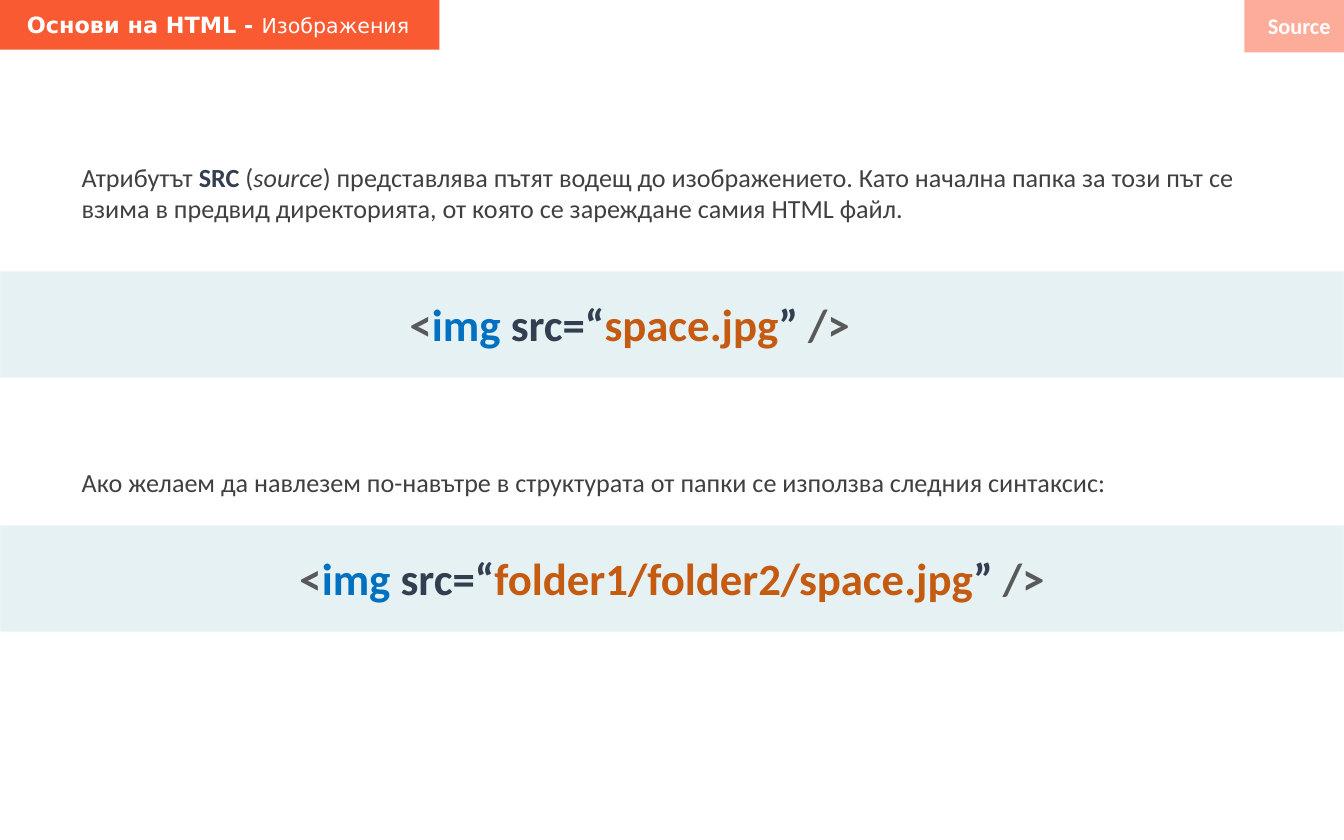
from typing import NamedTuple

from lxml import etree
from pptx import Presentation
from pptx.dml.color import RGBColor
from pptx.enum.shapes import MSO_SHAPE
from pptx.enum.text import MSO_ANCHOR, PP_ALIGN
from pptx.oxml.ns import qn
from pptx.util import Inches, Pt

RECT = MSO_SHAPE.RECTANGLE
TOP = MSO_ANCHOR.TOP
LEFT, MID, RIGHT = PP_ALIGN.LEFT, PP_ALIGN.CENTER, PP_ALIGN.RIGHT

COLORS = {
    "accent": "FA5A32", "band": "127994", "edge": "F8F8F8", "white": "FFFFFF",
    "body": "404040", "mark": "595959", "tag": "0070C0", "attr": "333F50",
    "value": "C55A11",
}
WIDTH, HEIGHT = Inches(10), Inches(6.25)
COL, ROW = WIDTH / 100, HEIGHT / 62.5  # grid of 100 columns by 62.5 rows


class Box(NamedTuple):
    """A place on the grid, in columns and rows."""
    left: float
    top: float
    width: float
    height: float

    def emu(self) -> tuple[int, ...]:
        units = (COL, ROW, COL, ROW)
        return tuple(round(n * unit) for n, unit in zip(self, units))


class Run(NamedTuple):
    text: str
    color: str = "body"
    bold: bool = False
    italic: bool = False
    size: float | None = None


class Sample(NamedTuple):
    """A line of code on a full-width band."""
    top: float
    left: float
    width: float
    file: str


class Note(NamedTuple):
    box: Box
    runs: list[Run]


SAMPLES = [
    Sample(20.2, 26.4, 40.9, "space.jpg"),
    Sample(39.1, 19.3, 61.4, "folder1/folder2/space.jpg"),
]
NOTES = [
    Note(Box(5.1, 11.5, 90.6, 5.7), [
        Run("Атрибутът "),
        Run("SRC", "attr", bold=True),
        Run(" ("),
        Run("source", italic=True),
        Run(") представлява пътят водещ до изображението. Като начална папка "
            "за този път се взима в предвид директорията, от която се "
            "зареждане самия HTML файл."),
    ]),
    Note(Box(5.1, 34.2, 90.6, 3.4), [
        Run("Ако желаем да навлезем по-навътре в структурата от папки се "
            "използва следния синтаксис:"),
    ]),
]


def paint(fill, color: str, alpha: int = 100) -> None:
    fill.solid()
    fill.fore_color.rgb = RGBColor.from_string(COLORS[color])
    if alpha < 100:
        tone = fill._xPr.find(f"{qn('a:solidFill')}/{qn('a:srgbClr')}")
        etree.SubElement(tone, qn("a:alpha"), val=str(alpha * 1000))


def block(slide, box: Box, color: str, alpha: int = 100, edge: str = ""):
    shape = slide.shapes.add_shape(RECT, *box.emu())
    shape.shadow.inherit = False
    paint(shape.fill, color, alpha)
    if edge:
        shape.line.width = Pt(1)
        paint(shape.line.fill, edge, 16)
    else:
        shape.line.fill.background()
    return shape


def write(shape, runs: list[Run], size: float, font: str = "Calibri",
          align=LEFT, wrap: bool = True) -> None:
    frame = shape.text_frame
    frame.word_wrap = wrap
    frame.vertical_anchor = TOP
    para = frame.paragraphs[0]
    para.alignment = align
    for part in runs:
        run = para.add_run()
        run.text = part.text
        run.font.name = font
        run.font.size = Pt(part.size or size)
        run.font.bold = part.bold
        run.font.italic = part.italic
        run.font.color.rgb = RGBColor.from_string(COLORS[part.color])


def label(slide, box: Box, runs: list[Run], size: float, **format) -> None:
    write(slide.shapes.add_textbox(*box.emu()), runs, size, **format)


def sample(slide, item: Sample) -> None:
    block(slide, Box(0, item.top, 100, 7.9), "band", 10, edge="edge")
    parts = [("<", "mark"), ("img ", "tag"), ("src=“", "attr"),
             (item.file, "value"), ("” ", "attr"), ("/>", "mark")]
    runs = [Run(text, color, bold=True) for text, color in parts]
    label(slide, Box(item.left, item.top + 1.4, item.width, 5), runs, 24,
          align=MID)


def main() -> None:
    deck = Presentation()
    deck.slide_width, deck.slide_height = WIDTH, HEIGHT
    slide = deck.slides.add_slide(deck.slide_layouts[5])

    # Code bands and the notes above them
    for item in SAMPLES:
        sample(slide, item)
    for note in NOTES:
        label(slide, note.box, note.runs, 14)

    # Title on its tab
    tab = block(slide, Box(0, -0.2, 32.7, 3.9), "accent")
    title = slide.shapes.title
    title.left, title.top, title.width, title.height = Box(
        1, 0.3, 31.7, 3).emu()
    write(title, [Run("Основи на HTML - ", "white", bold=True),
                  Run("Изображения", "white", size=11)],
          12, font="DejaVu Sans")
    tab.element.addnext(title.element)

    # Topic tab
    block(slide, Box(92.6, 0, 7.4, 3.9), "accent", 50)
    label(slide, Box(93.3, 0.4, 6.7, 3), [Run("Source", "white", bold=True)],
          12, align=RIGHT, wrap=False)

    deck.save("out.pptx")


if __name__ == "__main__":
    main()
